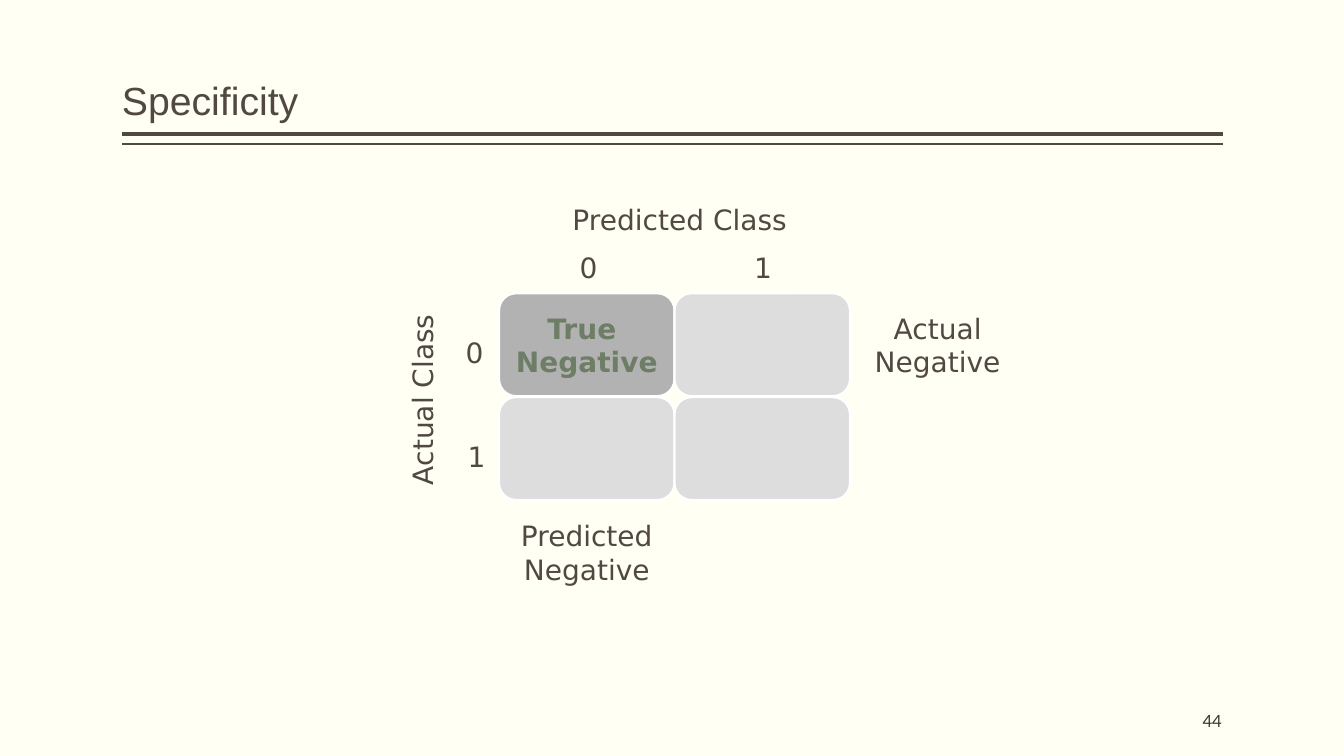
from dataclasses import dataclass

import pptx
import pptx.dml.color
import pptx.enum.shapes
import pptx.enum.text
import pptx.oxml.ns
import pptx.util
from lxml import etree

EMU_PER_PX = 9144  # 100 px to the inch
COLOURS = {
    "background": "FFFFF3",
    "ink": "514843",
    "page number": "3D3632",
    "highlight": "B2B2B2",
    "cell": "DDDDDD",
    "cell edge": "FFFFFF",
    "true negative": "6D7D66",
}
ALIGN = pptx.enum.text.PP_ALIGN
ANCHOR = pptx.enum.text.MSO_ANCHOR
GRID_LEFT, GRID_TOP = 495, 291
CELL_WIDTH, CELL_HEIGHT = 174, 102
ROW_PITCH = 103


@dataclass(frozen=True)
class Box:
    left: int
    top: int
    width: int
    height: int

    def emu(self) -> list[int]:
        return [px(n) for n in (self.left, self.top, self.width, self.height)]


@dataclass(frozen=True)
class TextStyle:
    colour: str = "ink"
    size: int = 20
    font: str = "DejaVu Sans"
    bold: bool = False
    align: ALIGN = ALIGN.LEFT
    anchor: ANCHOR = ANCHOR.TOP


@dataclass(frozen=True)
class Label:
    text: str
    box: Box
    style: TextStyle = TextStyle()
    rotation: int = 0


def px(length: int) -> pptx.util.Emu:
    return pptx.util.Emu(length * EMU_PER_PX)


def rgb(name: str) -> pptx.dml.color.RGBColor:
    return pptx.dml.color.RGBColor.from_string(COLOURS[name])


def grid_box(column: int, row: int) -> Box:
    return Box(GRID_LEFT + column * CELL_WIDTH, GRID_TOP + row * ROW_PITCH,
               CELL_WIDTH, CELL_HEIGHT)


def write(frame, text: str, style: TextStyle, wrap: bool = False) -> None:
    frame.text = text
    frame.word_wrap = wrap
    frame.vertical_anchor = style.anchor
    for paragraph in frame.paragraphs:
        paragraph.alignment = style.align
        for run in paragraph.runs:
            run.font.name = style.font
            run.font.size = pptx.util.Pt(style.size)
            run.font.bold = style.bold
            run.font.color.rgb = rgb(style.colour)


def add_label(slide, label: Label):
    textbox = slide.shapes.add_textbox(*label.box.emu())
    textbox.rotation = label.rotation
    write(textbox.text_frame, label.text, label.style)
    return textbox


def add_cell(slide, box: Box, fill: str):
    cell = slide.shapes.add_shape(
        pptx.enum.shapes.MSO_SHAPE.ROUNDED_RECTANGLE, *box.emu())
    cell.shadow.inherit = False
    cell.fill.solid()
    cell.fill.fore_color.rgb = rgb(fill)
    cell.line.color.rgb = rgb("cell edge")
    cell.line.width = pptx.util.Pt(1.5)
    return cell


def add_rule(slide, y: int, weight: int) -> None:
    rule = slide.shapes.add_connector(
        pptx.enum.shapes.MSO_CONNECTOR.STRAIGHT, px(1213), px(y), px(121), px(y))
    rule.line.color.rgb = rgb("ink")
    rule.line.width = pptx.util.Pt(weight)
    etree.SubElement(rule._element.spPr, pptx.oxml.ns.qn("a:effectLst"))


def add_title(slide) -> None:
    title = slide.shapes.title
    title.left, title.top, title.width, title.height = Box(121, 8, 1092, 120).emu()
    frame = title.text_frame
    frame.margin_left = frame.margin_right = 0
    write(frame, "Specificity",
          TextStyle(size=28, font="Arial", anchor=ANCHOR.BOTTOM), wrap=True)
    frame.paragraphs[0].line_spacing = 0.9


def add_page_number(slide) -> None:
    style = TextStyle("page number", 12, "Lato", align=ALIGN.RIGHT, anchor=ANCHOR.MIDDLE)
    number = add_label(slide, Label("44", Box(1012, 695, 200, 40), style))
    frame = number.text_frame
    frame.margin_left = frame.margin_right = 0
    frame.word_wrap = True


def add_confusion_matrix(slide) -> None:
    for row in range(2):
        for column in range(2):
            is_true_negative = row == column == 0
            cell = add_cell(slide, grid_box(column, row),
                            "highlight" if is_true_negative else "cell")
            if is_true_negative:
                write(cell.text_frame, "True \nNegative",
                      TextStyle("true negative", bold=True,
                                align=ALIGN.CENTER, anchor=ANCHOR.MIDDLE))

    margin = TextStyle(align=ALIGN.CENTER, anchor=ANCHOR.MIDDLE)
    labels = [
        Label("Predicted\nNegative", grid_box(0, 2), margin),
        Label("Actual\nNegative", grid_box(2, 0), margin),
        Label("Predicted Class", Box(558, 196, 234, 44)),
        Label("Actual Class", Box(324, 374, 190, 44), rotation=270),
        Label("0", Box(452, 328, 38, 44)),
        Label("1", Box(454, 431, 38, 44)),
        Label("0", Box(565, 244, 38, 44)),
        Label("1", Box(738, 244, 38, 44)),
    ]
    for label in labels:
        add_label(slide, label)


def main() -> None:
    deck = pptx.Presentation()
    deck.slide_width, deck.slide_height = px(1333), px(750)
    slide = deck.slides.add_slide(deck.slide_layouts.get_by_name("Title Only"))
    slide.background.fill.solid()
    slide.background.fill.fore_color.rgb = rgb("background")

    add_rule(slide, y=133, weight=3)
    add_rule(slide, y=143, weight=1)
    add_title(slide)
    add_page_number(slide)
    add_confusion_matrix(slide)
    deck.save("out.pptx")


if __name__ == "__main__":
    main()
